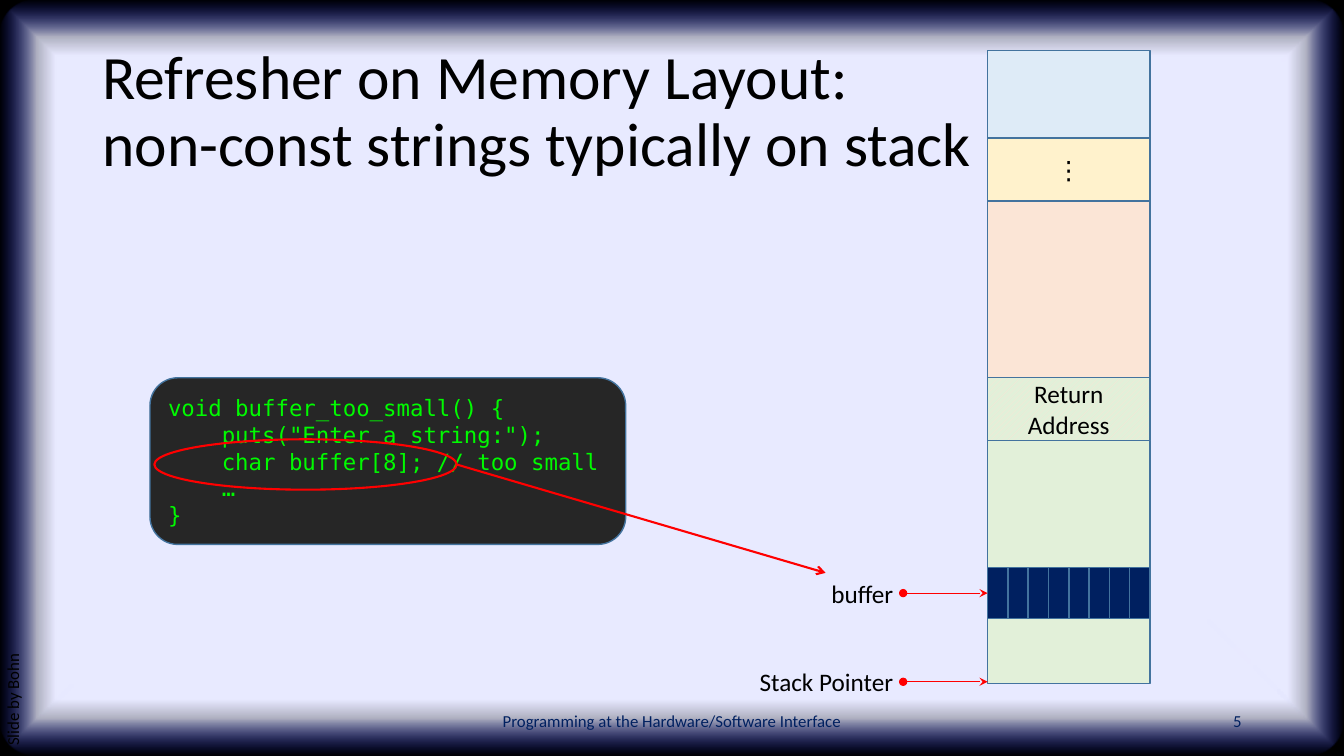
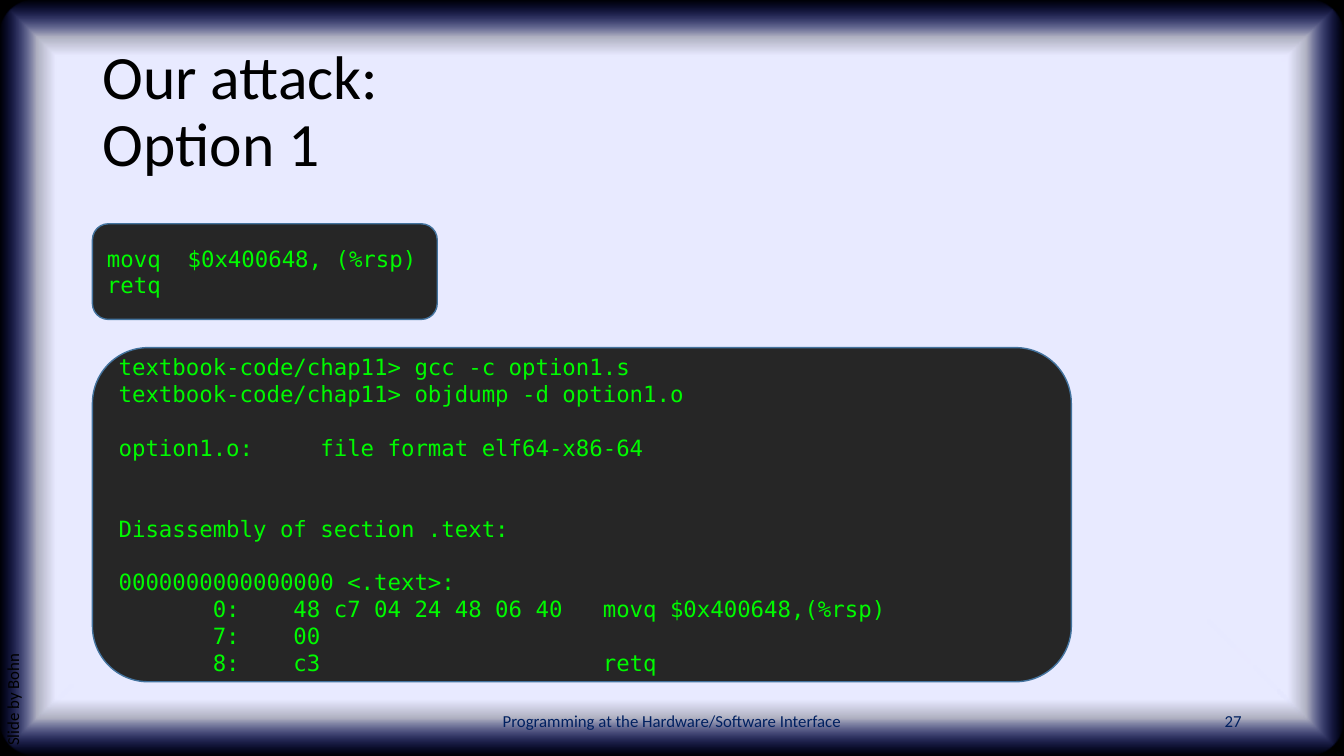
from lxml import etree
from pptx import Presentation
from pptx.dml.color import RGBColor
from pptx.enum.dml import MSO_PATTERN
from pptx.enum.shapes import MSO_CONNECTOR, MSO_SHAPE
from pptx.enum.text import MSO_ANCHOR, PP_ALIGN
from pptx.oxml import parse_xml
from pptx.oxml.ns import nsdecls, qn
from pptx.util import Cm, Pt

SLIDE_W, SLIDE_H = 33.87, 19.05
INK, NAVY, EDGE, RED = "000000", "002060", "43739E", "FF0000"
GREEN, PEACH = "E2F0D9", "FBE5D6"
TITLE = dict(size=Pt(44), name="Calibri", color=INK)
LABEL = dict(TITLE, size=Pt(18))
CREDIT = dict(TITLE, size=Pt(12))
FOOTER = dict(CREDIT, color=NAVY)
CODE = dict(size=Pt(16), name="DejaVu Sans Mono", color="00FA00")
CODE_LINE = 19.2
# position in percent, colour, opacity in percent
FRAME_STOPS = [(85, "E8EAFF", 100), (90, "E8EAFF", 75), (100, "162AFF", 0)]

BUFFER_CODE = """void buffer_too_small() {
    puts("Enter a string:");
    char buffer[8]; // too small
    …
}"""
ATTACK_CODE = """movq  $0x400648, (%rsp)
retq"""
DISASSEMBLY = """textbook-code/chap11> gcc -c option1.s
textbook-code/chap11> objdump -d option1.o

option1.o:     file format elf64-x86-64


Disassembly of section .text:

0000000000000000 <.text>:
       0:    48 c7 04 24 48 06 40   movq $0x400648,(%rsp)
       7:    00
       8:    c3                     retq"""


def rgb(value):
    return RGBColor.from_string(value)


def cm_box(box):
    return [Cm(v) for v in box]


def set_text(p, text, fmt, align=PP_ALIGN.LEFT):
    p.text = text
    p.alignment = align
    for r in p.runs:
        for key, value in fmt.items():
            if key == "color":
                r.font.color.rgb = rgb(value)
            else:
                setattr(r.font, key, value)


def add_text(s, box, text, fmt, align=PP_ALIGN.LEFT, anchor=MSO_ANCHOR.MIDDLE,
             spacing=None):
    sp = s.shapes.add_textbox(*cm_box(box))
    tf = sp.text_frame
    tf.word_wrap = True
    tf.vertical_anchor = anchor
    p = tf.paragraphs[0]
    p.line_spacing = spacing
    set_text(p, text, fmt, align)
    return sp


def add_box(s, kind, box, fill=None, line=None, width=1):
    sp = s.shapes.add_shape(kind, *cm_box(box))
    sp.shadow.inherit = False
    if fill:
        sp.fill.solid()
        sp.fill.fore_color.rgb = rgb(fill)
    else:
        sp.fill.background()
    if line:
        sp.line.color.rgb = rgb(line)
        sp.line.width = Pt(width)
    else:
        sp.line.fill.background()
    return sp


def add_arrow(s, start, end, width, tail, head=None):
    c = s.shapes.add_connector(MSO_CONNECTOR.STRAIGHT, *cm_box(start + end))
    c.line.color.rgb = rgb(RED)
    c.line.width = Pt(width)
    sp_pr = c._element.spPr
    ln = sp_pr.find(qn("a:ln"))
    for tag, style in (("a:headEnd", head), ("a:tailEnd", tail)):
        if style:
            etree.SubElement(ln, qn(tag)).set("type", style)
    etree.SubElement(sp_pr, qn("a:effectLst"))
    return c


def add_glow_frame(s):
    """Black backdrop under a panel that fades out towards its edges."""
    page = (0, 0, SLIDE_W, SLIDE_H)
    add_box(s, MSO_SHAPE.RECTANGLE, page, INK)
    panel = add_box(s, MSO_SHAPE.ROUNDED_RECTANGLE, page)
    panel.adjustments[0] = 0.05
    stops = "".join(
        f'<a:gs pos="{pos * 1000}"><a:srgbClr val="{color}">'
        f'<a:alpha val="{alpha * 1000}"/></a:srgbClr></a:gs>'
        for pos, color, alpha in FRAME_STOPS)
    grad = parse_xml(
        f'<a:gradFill {nsdecls("a")} rotWithShape="1"><a:gsLst>{stops}</a:gsLst>'
        '<a:path path="shape"><a:fillToRect l="50000" t="50000" r="50000" '
        'b="50000"/></a:path></a:gradFill>')
    sp_pr = panel._element.spPr
    sp_pr.replace(sp_pr.find(qn("a:noFill")), grad)


def add_slide(prs, title, number):
    s = prs.slides.add_slide(prs.slide_layouts[6])
    add_glow_frame(s)
    add_text(s, (2.33, 1.01, 29.21, 3.68), title, TITLE, spacing=0.9)
    add_text(s, (11.22, 17.66, 11.43, 1.01),
             "Programming at the Hardware/Software Interface", FOOTER,
             PP_ALIGN.CENTER)
    add_text(s, (23.92, 17.66, 7.62, 1.01), number, FOOTER, PP_ALIGN.RIGHT)
    credit = add_text(s, (-6.2, 11.83, 13.41, 1.02), "Slide by Bohn", CREDIT,
                      anchor=MSO_ANCHOR.TOP, spacing=0.9)
    credit.rotation = 270
    return s


def add_code(s, box, code):
    """Dark code panel; an empty line becomes space before the next one."""
    sp = add_box(s, MSO_SHAPE.ROUNDED_RECTANGLE, box, "262626", EDGE)
    tf = sp.text_frame
    tf.word_wrap = True
    tf.vertical_anchor = MSO_ANCHOR.MIDDLE
    p, gap = tf.paragraphs[0], 0
    for i, line in enumerate(code.split("\n")):
        if not line:
            gap += 1
            continue
        if i:
            p = tf.add_paragraph()
        if gap:
            p.space_before = Pt(gap * CODE_LINE)
        set_text(p, line, CODE)
        gap = 0


def add_stack(s, x, y, w):
    """Column of memory regions; returns the y of its lower end."""
    regions = [(2.21, "DEEBF7", ""), (1.59, "FFF2CC", "⋮"), (4.44, PEACH, ""),
               (1.59, GREEN, "Return Address"), (6.12, GREEN, "")]
    for h, fill, text in regions:
        sp = add_box(s, MSO_SHAPE.RECTANGLE, (x, y, w, h), fill, EDGE)
        if text:
            sp.text_frame.word_wrap = True
            sp.text_frame.vertical_anchor = MSO_ANCHOR.MIDDLE
            set_text(sp.text_frame.paragraphs[0], text, LABEL, PP_ALIGN.CENTER)
        if text == "Return Address":
            sp.fill.patterned()
            sp.fill.pattern = MSO_PATTERN.WIDE_UPWARD_DIAGONAL
            sp.fill.fore_color.rgb = rgb(PEACH)
            sp.fill.back_color.rgb = rgb(GREEN)
        y += h
    return y


def add_buffer(s, x, y, w, h, count=8):
    """Row of byte cells; returns the first one."""
    cell_w = w / count
    cells = [add_box(s, MSO_SHAPE.RECTANGLE, (x + i * cell_w, y, cell_w, h),
                     NAVY, EDGE) for i in range(count)]
    return cells[0]


def add_pointer(s, text, x, y):
    """Label and arrow whose tip is at (x, y)."""
    w, h, reach = 3.91, 1.02, 2.13
    label = add_text(s, (x - reach - w, y - h / 2, w, h), text, LABEL,
                     PP_ALIGN.RIGHT)
    label.text_frame.margin_left = 0
    arrow = add_arrow(s, (x - reach, y), (x, y), 0.5, "stealth", "oval")
    arrow.begin_connect(label, 3)
    return label, arrow


def memory_slide(prs):
    s = add_slide(prs, "Refresher on Memory Layout:\v"
                       "non-const strings typically on stack", "5")
    x, w = 24.89, 4.09
    buf_y, buf_h = 14.3, 1.29
    bottom = add_stack(s, x, 1.27, w)
    add_pointer(s, "Stack Pointer", x, bottom - 0.04)
    add_code(s, (3.78, 9.52, 11.99, 4.2), BUFFER_CODE)
    first_cell = add_buffer(s, x, buf_y, w, buf_h)
    label, arrow = add_pointer(s, "buffer", x, buf_y + buf_h / 2)
    arrow.end_connect(first_cell, 1)
    ex, ey, ew, eh = 3.89, 11.07, 7.62, 1.27
    add_box(s, MSO_SHAPE.OVAL, (ex, ey, ew, eh), line=RED, width=1.5)
    link = add_arrow(s, (ex + ew, ey + eh / 2), (20.8, 14.43), 1.5, "arrow")
    link.end_connect(label, 0)


def attack_slide(prs):
    s = add_slide(prs, "Our attack:\vOption 1", "27")
    add_code(s, (2.33, 5.64, 8.69, 2.41), ATTACK_CODE)
    add_code(s, (2.33, 8.76, 24.67, 8.42), DISASSEMBLY)


def main():
    prs = Presentation()
    prs.slide_width, prs.slide_height = Cm(SLIDE_W), Cm(SLIDE_H)
    memory_slide(prs)
    attack_slide(prs)
    prs.save("out.pptx")


if __name__ == "__main__":
    main()
